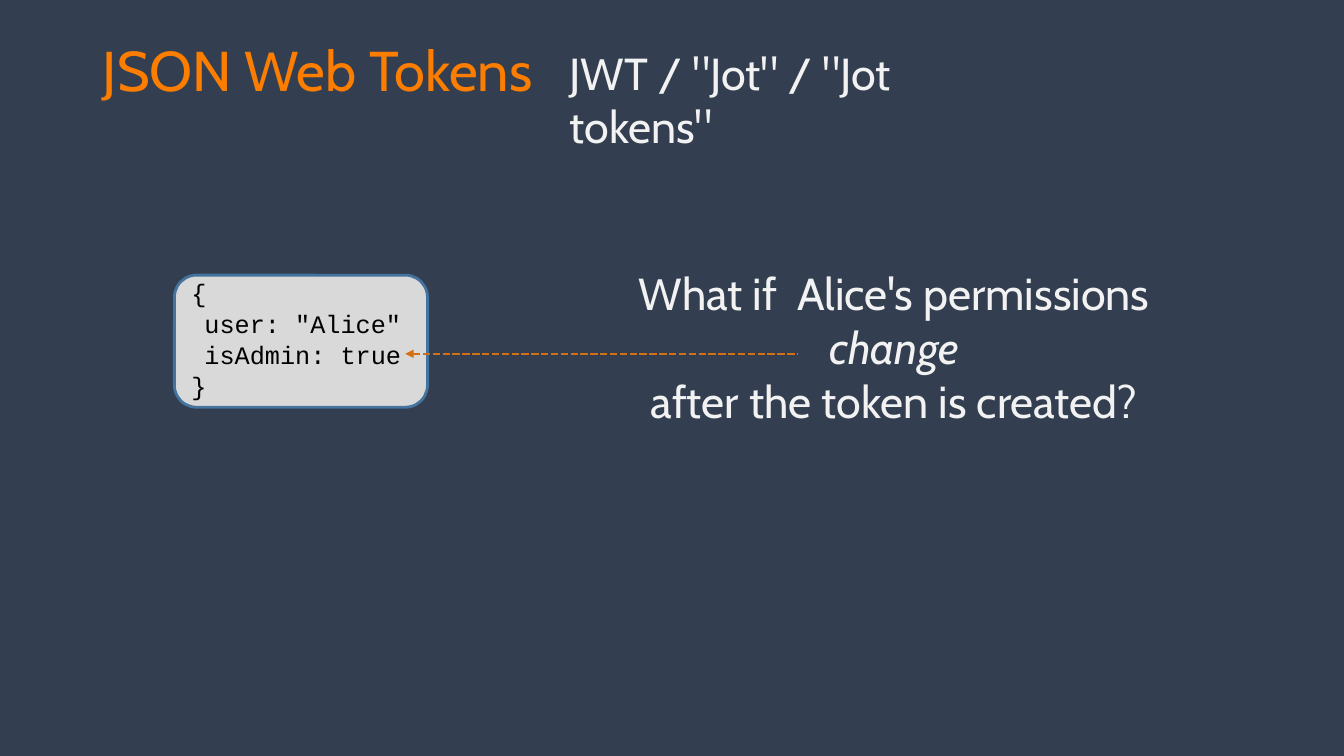
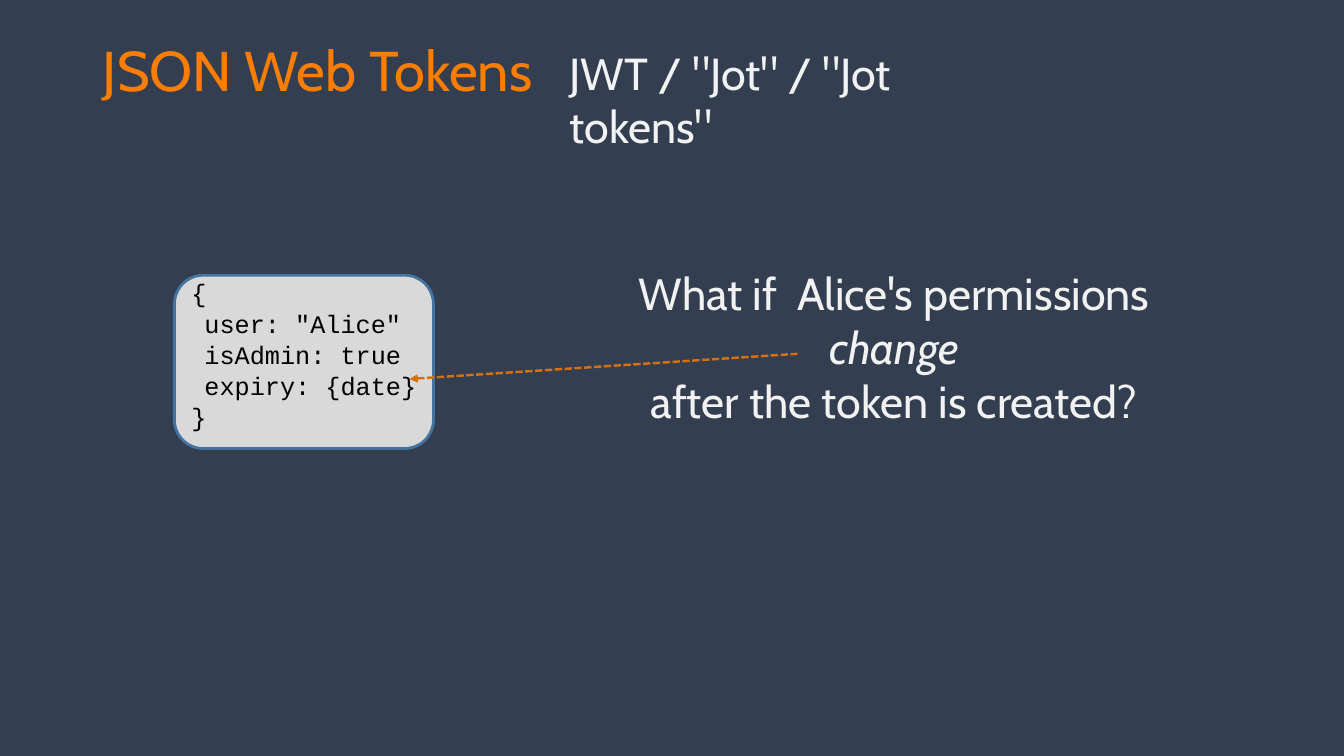
"""Build two slides on JSON Web Tokens and changing permissions."""
from lxml.etree import SubElement
from pptx import Presentation
from pptx.dml.color import RGBColor
from pptx.enum.dml import MSO_LINE
from pptx.enum.shapes import MSO_CONNECTOR, MSO_SHAPE
from pptx.enum.text import MSO_ANCHOR, MSO_AUTO_SIZE, PP_ALIGN
from pptx.oxml.ns import qn
from pptx.util import Inches, Pt

TITLE = "JSON Web Tokens"
SUBTITLE = "JWT / \"Jot\" / \"Jot tokens\""
QUESTION = [
    [("What if  Alice's permissions", False)],
    [("change", True)],
    [("after the token is created?", False)],
]
USER, ADMIN, EXPIRY = "user: \"Alice\"", "isAdmin: true", "expiry: {date}"
SLIDES = [
    {"fields": [USER, ADMIN], "token_size": (2.51, 1.31), "arrow_tip": (4.02, 3.51)},
    {"fields": [USER, ADMIN, EXPIRY], "token_size": (2.57, 1.72), "arrow_tip": (4.06, 3.76)},
]
ARROW_START = (7.91, 3.51)
TOKEN_CORNER = (1.73, 2.73)
CODE_CORNER = (1.8, 2.7)
CODE_PITCH = Pt(22)
FIELD_INDENT = Inches(0.13)

BACKGROUND = RGBColor(0x33, 0x3F, 0x50)
ORANGE = RGBColor(0xFD, 0x7D, 0x00)
ARROW_ORANGE = RGBColor(0xD3, 0x70, 0x11)
OFF_WHITE = RGBColor(0xF2, 0xF2, 0xF2)
TOKEN_GREY = RGBColor(0xD9, 0xD9, 0xD9)
TOKEN_BLUE = RGBColor(0x43, 0x73, 0x9E)
BLACK = RGBColor(0, 0, 0)
TEXT_FONT, CODE_FONT = "Cabin", "Courier New"


def add_span(para, text, size, color, font=TEXT_FONT, italic=False):
    span = para.add_run()
    span.text = text
    span.font.size = Pt(size)
    span.font.name = font
    span.font.color.rgb = color
    span.font.italic = italic


def add_text_box(page, left, top, width, height):
    box = page.shapes.add_textbox(Inches(left), Inches(top), Inches(width), Inches(height))
    box.text_frame.word_wrap = True
    return box.text_frame


def paragraphs(frame, items):
    for index, item in enumerate(items):
        yield (frame.add_paragraph() if index else frame.paragraphs[0]), item


def style_layout(deck):
    deck.slide_master.background.fill.solid()
    deck.slide_master.background.fill.fore_color.rgb = BACKGROUND
    layout = deck.slide_layouts.get_by_name("Title Only")
    title = layout.placeholders[0]
    title.left, title.top = Inches(0.92), Inches(0.3)
    title.width, title.height = Inches(6.98), Inches(0.77)
    title.text_frame.vertical_anchor = MSO_ANCHOR.TOP
    title.text_frame.auto_size = MSO_AUTO_SIZE.NONE
    return layout


def add_headings(page):
    para = page.shapes.title.text_frame.paragraphs[0]
    para.alignment = PP_ALIGN.LEFT
    add_span(para, TITLE, 40, ORANGE)
    frame = add_text_box(page, 5.55, 0.4, 4.67, 0.64)
    add_span(frame.paragraphs[0], SUBTITLE, 32, OFF_WHITE)


def add_question(page):
    frame = add_text_box(page, 4.86, 2.59, 8.02, 1.72)
    for para, spans in paragraphs(frame, QUESTION):
        para.alignment = PP_ALIGN.CENTER
        for text, italic in spans:
            add_span(para, text, 32, OFF_WHITE, italic=italic)


def add_token(page, fields, size):
    corner = [Inches(value) for value in TOKEN_CORNER]
    token = page.shapes.add_shape(
        MSO_SHAPE.ROUNDED_RECTANGLE, *corner, *[Inches(value) for value in size])
    token.shadow.inherit = False
    token.fill.solid()
    token.fill.fore_color.rgb = TOKEN_GREY
    token.line.color.rgb = TOKEN_BLUE
    token.line.width = Pt(2)
    frame = add_text_box(page, *CODE_CORNER, 2.66, size[1])
    for para, text in paragraphs(frame, ["{", *fields, "}"]):
        para.line_spacing = CODE_PITCH
        if text in fields:
            para._p.get_or_add_pPr().set("marL", str(FIELD_INDENT))
        add_span(para, text, 18, BLACK, CODE_FONT)


def add_arrow(page, tip):
    ends = [Inches(value) for value in (*tip, *ARROW_START)]
    arrow = page.shapes.add_connector(MSO_CONNECTOR.STRAIGHT, *ends)
    arrow.line.color.rgb = ARROW_ORANGE
    arrow.line.width = Pt(1.75)
    arrow.line.dash_style = MSO_LINE.SQUARE_DOT
    properties = arrow._element.spPr
    SubElement(properties.find(qn("a:ln")), qn("a:headEnd"), type="triangle")
    SubElement(properties, qn("a:effectLst"))


def main():
    deck = Presentation()
    deck.slide_width, deck.slide_height = Inches(13.33), Inches(7.5)
    layout = style_layout(deck)
    for content in SLIDES:
        page = deck.slides.add_slide(layout)
        add_headings(page)
        add_question(page)
        add_token(page, content["fields"], content["token_size"])
        add_arrow(page, content["arrow_tip"])
    deck.save("out.pptx")


if __name__ == "__main__":
    main()
